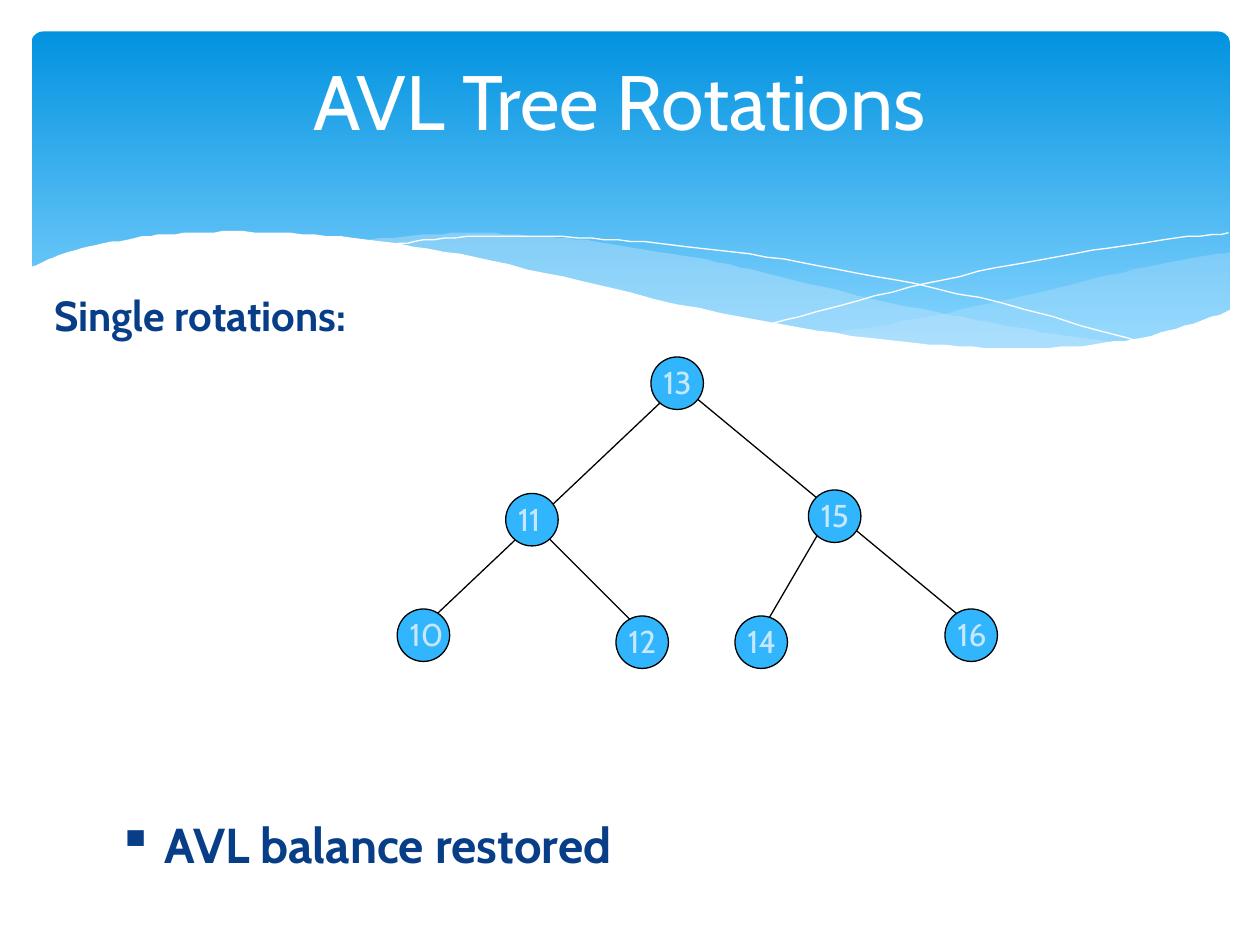
from lxml.etree import SubElement
from pptx import Presentation
from pptx.dml.color import RGBColor
from pptx.enum.shapes import MSO_CONNECTOR, MSO_SHAPE
from pptx.enum.text import MSO_ANCHOR, PP_ALIGN
from pptx.oxml.ns import qn
from pptx.util import Pt

HUES = {k: RGBColor.from_string(v) for k, v in {
    "deep": "0293E0", "sky": "83D3FE", "pale": "C6E7FC", "node": "31B6FD",
    "navy": "073E87", "white": "FFFFFF", "black": "000000"}.items()}

deck = Presentation()
deck.slide_width, deck.slide_height = Pt(720), Pt(540)
slide = deck.slides.add_slide(deck.slide_layouts[6])
shapes = slide.shapes


def write(text, left, top, width, height, size=18, hue="pale", bold=False,
          align=PP_ALIGN.LEFT, anchor=MSO_ANCHOR.TOP, indent=0, bullet=None):
    frame = shapes.add_textbox(Pt(left), Pt(top), Pt(width), Pt(height)).text_frame
    frame.word_wrap = True
    frame.vertical_anchor = anchor
    para = frame.paragraphs[0]
    para.alignment = align
    run = para.add_run()
    run.text = text
    font = run.font
    font.name, font.size, font.bold = "Cabin", Pt(size), bold
    font.color.rgb = HUES[hue]
    if indent:
        props = para._p.get_or_add_pPr()
        props.set("marL", str(Pt(indent)))
        props.set("indent", str(Pt(-indent)))
        if bullet:
            SubElement(props, qn("a:buChar"), char=bullet)


def smooth(knots, steps=6):
    ends = [knots[0], *knots, knots[-1]]
    dots = [knots[0]]
    for a, b, c, d in zip(ends, ends[1:], ends[2:], ends[3:]):
        for step in range(1, steps + 1):
            t = step / steps
            dots.append(tuple(
                (2 * q + (r - p) * t + (2 * p - 5 * q + 4 * r - s) * t ** 2
                 + (3 * q - p - 3 * r + s) * t ** 3) / 2
                for p, q, r, s in zip(a, b, c, d)))
    return dots


panel = shapes.add_shape(MSO_SHAPE.ROUNDED_RECTANGLE, Pt(18), Pt(18), Pt(684.7), Pt(194.4))
panel.adjustments[0] = 0.034
panel.shadow.inherit = False
panel.line.fill.background()
panel.fill.gradient()
panel.fill.gradient_angle = 270
for stop, hue, place in zip(panel.fill.gradient_stops, ("deep", "sky"), (0, 0.9)):
    stop.color.rgb = HUES[hue]
    stop.position = place

right = smooth([(702.7, 144), (673.2, 149), (641.5, 155.5), (599, 165.6),
                (542.2, 178.6), (475.9, 190.8)])
right += smooth([(475.9, 190.8), (507.6, 195.1), (545, 198.7), (578.2, 200.2),
                 (614.9, 198.7), (645.8, 194.4), (673.2, 188.6), (702.7, 177.8)])
band = smooth([(643, 196.6), (602.6, 190.8), (558, 182.9), (508.3, 172.8),
               (452.9, 159.8), (409.7, 149.8), (370, 142.6), (334.8, 137.5),
               (302.4, 134.6), (273.6, 133.2), (247.7, 133.9), (205.9, 137.5)])
band += smooth([(205.9, 137.5), (246.2, 143.3), (290.9, 151.9), (353.5, 167),
                (407.5, 178.6), (456.5, 187.9), (500.4, 194.4), (538.6, 198.7),
                (573.1, 200.2), (610.6, 199.4), (643, 196.6)])
fall = smooth([(222.5, 140.4), (247.7, 136.8), (288.7, 134.6), (337.7, 136.1),
               (383.8, 139.7), (437.8, 146.9), (500.4, 157.7), (572.4, 173.5),
               (653, 195.8)])
rise = smooth([(441.4, 185), (500.4, 169.2), (558.7, 155.5), (623.5, 143.3),
               (665.3, 136.8), (702, 133.2)])
front = smooth([(703.4, 177.1), (676.8, 186.5), (647.3, 193.7), (612, 198),
                (571, 199), (522.7, 195.8), (466.6, 188.6), (399.6, 176.4),
                (321.8, 158.4), (262.8, 145.4), (210.2, 136.8), (165.6, 133.2),
                (127.4, 132.5), (95, 133.9), (68.4, 137.5), (42.5, 143.3),
                (25.9, 149), (16.6, 153.4)])
front += [(16.6, 236.9), (703.4, 236.9)]

for dots, hue, alpha in ((right, "pale", 29), (band, "pale", 40), (fall, None, 0),
                         (rise, None, 0), (front, "white", 100)):
    pen = shapes.build_freeform(*dots[0], scale=Pt(1))
    pen.add_line_segments(dots[1:], close=hue is not None)
    wave = pen.convert_to_shape()
    wave.shadow.inherit = False
    if hue:
        wave.line.fill.background()
        wave.fill.solid()
        wave.fill.fore_color.rgb = HUES[hue]
        tint = wave.fill._xPr.find(qn("a:solidFill"))[0]
        SubElement(tint, qn("a:alpha"), val=str(alpha * 1000))
    else:
        wave.fill.background()
        wave.line.color.rgb = HUES["white"]
        wave.line.width = Pt(0)

for ends in ((300, 294, 372, 366), (474, 294, 432, 366),
             (240, 360, 388, 220), (384, 216, 558, 360)):
    edge = shapes.add_connector(MSO_CONNECTOR.STRAIGHT, *map(Pt, ends))
    edge.line.color.rgb = HUES["black"]
    edge.line.width = Pt(0.75)
    SubElement(edge._element.spPr, qn("a:effectLst"))

write("AVL Tree Rotations", 48, 12, 612, 90, size=44, hue="white",
      align=PP_ALIGN.CENTER, anchor=MSO_ANCHOR.MIDDLE)
write("Single rotations:", 24, 162, 672, 48, size=24, hue="navy", bold=True, indent=21.6)

for key, left, top in ((13, 372, 204), (15, 462, 280), (16, 540, 348), (11, 289, 282),
                       (14, 420, 352), (10, 227, 348), (12, 352, 352)):
    node = shapes.add_shape(MSO_SHAPE.OVAL, Pt(left), Pt(top), Pt(30), Pt(30))
    node.shadow.inherit = False
    node.fill.solid()
    node.fill.fore_color.rgb = HUES["node"]
    node.line.color.rgb = HUES["black"]
    node.line.width = Pt(0.75)
    write(str(key), left, top, 36, 29)

write("AVL balance restored", 60, 462, 426, 48, size=28, hue="navy", bold=True,
      indent=27, bullet="▪")

deck.save("out.pptx")
